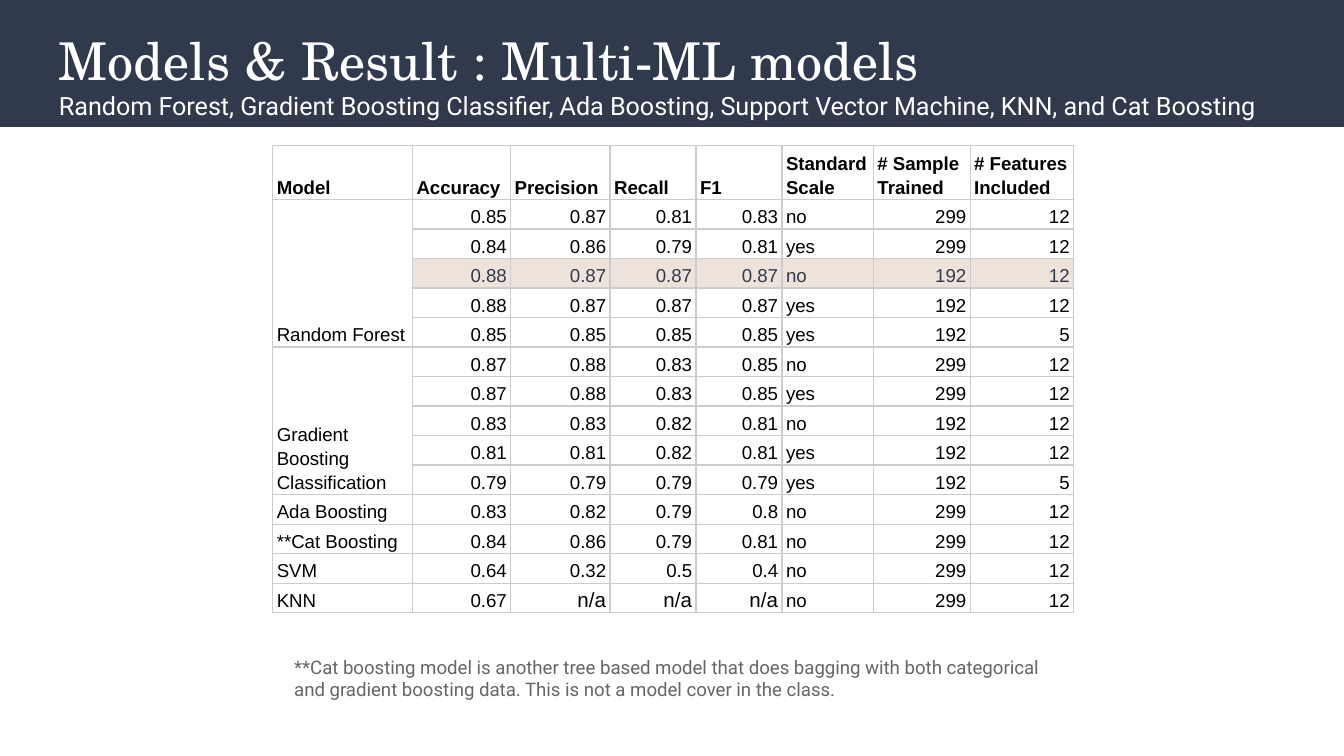
from lxml import etree
from pptx import Presentation
from pptx import util as u
from pptx.dml.color import RGBColor
from pptx.enum import shapes, text
from pptx.oxml.ns import qn

NAVY, WHITE, BLACK, GRAY = "31394D", "FFFFFF", "000000", "666666"
BORDER, HIGHLIGHT = "CCCCCC", "EDE3DA"
HIGHLIGHT_ROW = 3
SCALE_COLUMN = 5
COLUMN_WIDTHS = [1.04, 0.73, 0.74, 0.64, 0.64, 0.68, 0.72, 0.77]
HEADERS = ["Model", "Accuracy", "Precision", "Recall", "F1",
           "Standard Scale", "# Sample Trained", "# Features Included"]
RESULTS = {
    "Random Forest": [
        "0.85 0.87 0.81 0.83 no 299 12",
        "0.84 0.86 0.79 0.81 yes 299 12",
        "0.88 0.87 0.87 0.87 no 192 12",
        "0.88 0.87 0.87 0.87 yes 192 12",
        "0.85 0.85 0.85 0.85 yes 192 5",
    ],
    "Gradient Boosting Classification": [
        "0.87 0.88 0.83 0.85 no 299 12",
        "0.87 0.88 0.83 0.85 yes 299 12",
        "0.83 0.83 0.82 0.81 no 192 12",
        "0.81 0.81 0.82 0.81 yes 192 12",
        "0.79 0.79 0.79 0.79 yes 192 5",
    ],
    "Ada Boosting": ["0.83 0.82 0.79 0.8 no 299 12"],
    "**Cat Boosting": ["0.84 0.86 0.79 0.81 no 299 12"],
    "SVM": ["0.64 0.32 0.5 0.4 no 299 12"],
    "KNN": ["0.67 n/a n/a n/a no 299 12"],
}


def color(value):
    return RGBColor.from_string(value)


def format_runs(paragraph, size, font, value, bold=False):
    for run in paragraph.runs:
        run.font.size = u.Pt(size)
        run.font.name = font
        run.font.color.rgb = color(value)
        run.font.bold = bold


def add_band(slide, left, top, width, height, fill, line=None):
    box = [u.Inches(n) for n in (left, top, width, height)]
    shape = slide.shapes.add_shape(shapes.MSO_SHAPE.RECTANGLE, *box)
    shape.shadow.inherit = False
    shape.fill.solid()
    shape.fill.fore_color.rgb = color(fill)
    if line:
        shape.line.color.rgb = color(line)
        shape.line.width = u.Pt(0.75)
    else:
        shape.line.fill.background()


def add_text(slide, left, top, width, height, lines):
    box = [u.Inches(n) for n in (left, top, width, height)]
    frame = slide.shapes.add_textbox(*box).text_frame
    frame.word_wrap = True
    frame.vertical_anchor = text.MSO_ANCHOR.TOP
    frame.margin_left = frame.margin_right = u.Inches(0.1)
    frame.margin_top = frame.margin_bottom = u.Inches(0.1)
    frame.text = "\n".join(line[0] for line in lines)
    for paragraph, (_, size, font, value) in zip(frame.paragraphs, lines):
        format_runs(paragraph, size, font, value)


def add_borders(cell):
    properties = cell._tc.get_or_add_tcPr()
    for side in ("a:lnL", "a:lnR", "a:lnT", "a:lnB"):
        line = etree.SubElement(properties, qn(side), w=str(u.Pt(0.75)))
        fill = etree.SubElement(line, qn("a:solidFill"))
        etree.SubElement(fill, qn("a:srgbClr"), val=BORDER)


def style_cell(cell, row, column):
    add_borders(cell)
    cell.vertical_anchor = text.MSO_ANCHOR.BOTTOM
    cell.margin_left = cell.margin_right = u.Inches(0.03)
    cell.margin_top = cell.margin_bottom = u.Inches(0.01)
    highlighted = row == HIGHLIGHT_ROW and column > 0
    if highlighted:
        cell.fill.solid()
        cell.fill.fore_color.rgb = color(HIGHLIGHT)
    else:
        cell.fill.background()
    paragraph = cell.text_frame.paragraphs[0]
    missing = cell.text == "n/a"
    if not missing:
        paragraph.line_spacing = 1.15
    if row > 0 and column not in (0, SCALE_COLUMN):
        paragraph.alignment = text.PP_ALIGN.RIGHT
    format_runs(paragraph, 11 if missing else 10, "Arial",
                NAVY if highlighted else BLACK, bold=row == 0)


def add_results_table(slide, left, top):
    rows = [HEADERS]
    spans = []
    for model, scores in RESULTS.items():
        spans.append((len(rows), len(scores)))
        for index, score in enumerate(scores):
            rows.append([model if index == 0 else ""] + score.split())
    heights = [0.38] + [0.22] * (len(rows) - 1)
    table = slide.shapes.add_table(
        len(rows), len(HEADERS), u.Inches(left), u.Inches(top),
        u.Inches(sum(COLUMN_WIDTHS)), u.Inches(sum(heights))).table
    table.first_row = table.horz_banding = False
    for column, width in zip(table.columns, COLUMN_WIDTHS):
        column.width = u.Inches(width)
    for row, height in zip(table.rows, heights):
        row.height = u.Inches(height)
    for row, values in enumerate(rows):
        for column, value in enumerate(values):
            cell = table.cell(row, column)
            cell.text = value
            style_cell(cell, row, column)
    for start, count in spans:
        if count > 1:
            table.cell(start, 0).merge(table.cell(start + count - 1, 0))


def main():
    presentation = Presentation()
    presentation.slide_width = u.Inches(10)
    presentation.slide_height = u.Inches(10) * 9 // 16
    slide = presentation.slides.add_slide(presentation.slide_layouts[6])
    add_band(slide, 0, 0, 10, 1.4, NAVY)
    add_band(slide, 0, 0.95, 10, 0.66, WHITE, WHITE)
    add_text(slide, 0.34, 0.11, 9.32, 0.95, [
        ("Models & Result : Multi-ML models", 27.9, "TeX Gyre Schola", WHITE),
        ("Random Forest, Gradient Boosting Classifier, Ada Boosting, "
         "Support Vector Machine, KNN, and Cat Boosting", 13.5, "Roboto", WHITE),
    ])
    add_results_table(slide, 2.03, 1.08)
    add_text(slide, 2.09, 4.78, 5.81, 0.54, [
        ("**Cat boosting model is another tree based model that does bagging "
         "with both categorical and gradient boosting data. "
         "This is not a model cover in the class.", 10, "Roboto", GRAY),
    ])
    presentation.save("out.pptx")


if __name__ == "__main__":
    main()
